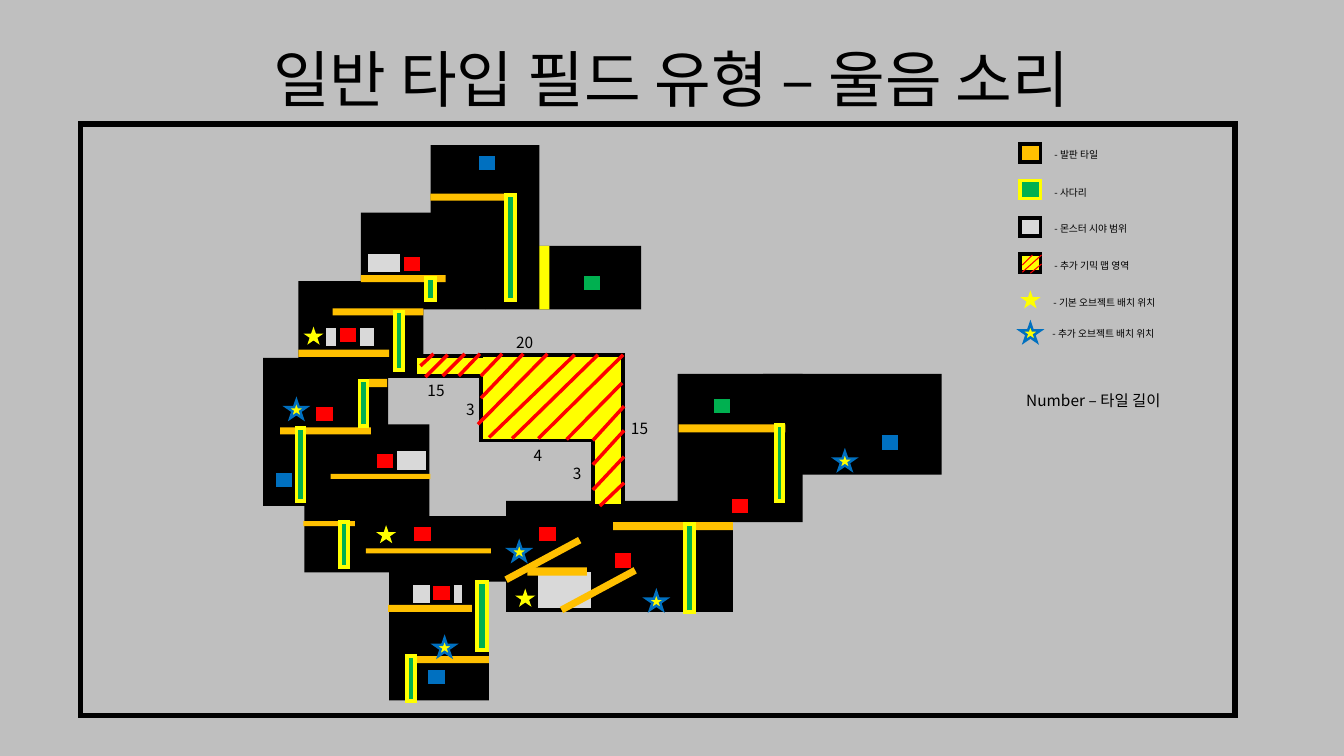
import dataclasses

import lxml.etree
import pptx
import pptx.dml.color
import pptx.enum.shapes
import pptx.enum.text
import pptx.oxml.ns
import pptx.util

SHAPES = pptx.enum.shapes.MSO_SHAPE
ALIGN = pptx.enum.text.PP_ALIGN
qn = pptx.oxml.ns.qn


@dataclasses.dataclass(frozen=True)
class Theme:
    font: str = "Noto Sans CJK KR"
    page: str = "BFBFBF"
    black: str = "000000"
    grey: str = "D9D9D9"
    orange: str = "FFC000"
    yellow: str = "FFFF00"
    green: str = "00B050"
    blue: str = "0070C0"
    red: str = "FF0000"
    title_size: float = 44
    number_size: float = 11
    legend_size: float = 7
    frame_line: float = 4
    tile_line: float = 2.75
    star_line: float = 1.75
    hatch_line: float = 2.5
    legend_hatch_line: float = 0.75


THEME = Theme()
GRID = 2.54  # centimetres in one unit of the map grid
MARKER = (0.2, 0.18)

# Rectangles are left, top, width, height in grid units, with an optional rotation.
ROOMS = [
    (4.27, 1.44, 1.08, 1.01), (3.58, 2.11, 1.24, 0.96), (4.82, 2.44, 1.54, 0.63),
    (2.96, 2.79, 1.24, 0.96), (2.61, 3.55, 1.24, 1.47), (3.86, 5.48, 0.99, 1.47),
    (5.02, 4.97, 2.25, 1.1), (6.72, 3.71, 1.24, 1.47), (7.57, 3.71, 1.77, 1),
    (3.02, 4.21, 1.24, 1.47), (4.11, 5.12, 1.24, 0.65),
]
SIGHT_RANGES = [
    (3.63, 2.5, 0.52, 0.22), (3.21, 3.23, 0.52, 0.22), (4.08, 5.78, 0.52, 0.22),
    (3.72, 4.46, 0.52, 0.22), (5.32, 5.66, 0.56, 0.39),
]
PLATFORMS = [
    (3.58, 2.73, 0.84, 0.07), (4.27, 1.92, 0.84, 0.07), (2.96, 3.47, 0.9, 0.07),
    (3.3, 3.06, 0.9, 0.07), (2.78, 4.24, 0.9, 0.07), (3.28, 4.7, 0.99, 0.05),
    (3.85, 6, 0.83, 0.07), (4.02, 6.51, 0.83, 0.07), (4.97, 5.52, 0.83, 0.07, 331.7),
    (5.52, 5.82, 0.83, 0.07, 331.7), (6.08, 5.18, 1.19, 0.08), (5.23, 5.63, 0.59, 0.08),
    (6.73, 4.21, 1.06, 0.08), (3.66, 3.76, 0.18, 0.08), (3.01, 5.17, 0.51, 0.05),
    (3.63, 5.44, 1.24, 0.05),
]
LADDERS = [
    (4.54, 2.41, 1.04, 0.09), (4.16, 2.82, 0.22, 0.09), (3.67, 3.34, 0.58, 0.08),
    (3.38, 3.96, 0.45, 0.08), (2.62, 4.57, 0.72, 0.08), (3.19, 5.36, 0.45, 0.08),
    (4.44, 6.06, 0.68, 0.1), (3.85, 6.69, 0.45, 0.08), (6.4, 5.59, 0.87, 0.09),
    (7.36, 4.56, 0.75, 0.07),
]
MARKERS = {
    THEME.blue: [(4.73, 1.53), (2.72, 4.67), (4.23, 6.63), (8.73, 4.3)],
    THEME.green: [(5.77, 2.72), (7.06, 3.94)],
    THEME.red: [(3.99, 2.53), (3.12, 4.02), (4.28, 5.79), (6.08, 5.47), (7.24, 4.93),
                (3.72, 4.48), (3.35, 3.23), (4.09, 5.21), (5.33, 5.21)],
}
BASIC_STARS = [(5.11, 5.84), (3.01, 3.24), (3.73, 5.21)]
EXTRA_STARS = [(4.31, 6.33), (6.41, 5.87), (8.28, 4.48), (2.84, 3.97), (5.05, 5.38)]
GIMMICK_AREA = [
    (4.77, 3.52), (6.18, 3.52), (6.18, 5.02), (5.88, 5.02), (5.88, 4.37),
    (4.77, 4.37), (4.77, 3.73), (4.12, 3.73), (4.12, 3.53), (4.77, 3.53),
]
HATCHES = [
    (6.18, 3.52, 5.34, 4.35), (5.93, 3.52, 5.08, 4.35), (5.7, 3.52, 4.85, 4.34),
    (5.43, 3.51, 4.74, 4.21), (5.19, 3.51, 4.77, 3.95), (4.98, 3.51, 4.77, 3.73),
    (4.76, 3.51, 4.55, 3.73), (4.61, 3.51, 4.39, 3.73), (4.44, 3.52, 4.22, 3.74),
    (6.17, 3.8, 5.62, 4.36), (6.19, 4.03, 5.88, 4.37), (6.19, 4.27, 5.88, 4.61),
    (6.19, 4.53, 5.88, 4.86), (6.19, 4.79, 5.95, 5.02), (4.3, 3.51, 4.17, 3.63),
]
LEGEND_HATCHES = [
    (10.24, 2.53, 10.14, 2.63), (10.33, 2.62, 10.22, 2.71), (10.33, 2.53, 10.14, 2.7),
]
TILE_COUNTS = [
    ("20", 5.02, 3.26, ALIGN.LEFT), ("15", 6.16, 4.11, ALIGN.LEFT),
    ("3", 5.54, 4.56, ALIGN.CENTER), ("4", 5.15, 4.38, ALIGN.CENTER),
    ("15", 4.14, 3.73, ALIGN.CENTER), ("3", 4.48, 3.92, ALIGN.CENTER),
]
# Icon top, label left, label top, label, preset, fill, outline, outline width
LEGEND = [
    (1.43, 10.36, 1.43, "- 발판 타일", SHAPES.RECTANGLE, THEME.orange, THEME.black, THEME.tile_line),
    (1.79, 10.36, 1.8, "- 사다리", SHAPES.RECTANGLE, THEME.green, THEME.yellow, THEME.tile_line),
    (2.16, 10.36, 2.16, "- 몬스터 시야 범위", SHAPES.RECTANGLE, THEME.grey, THEME.black, THEME.tile_line),
    (2.52, 10.36, 2.53, "- 추가 기믹 맵 영역", SHAPES.RECTANGLE, THEME.yellow, THEME.black, THEME.tile_line),
    (2.88, 10.35, 2.89, "- 기본 오브젝트 배치 위치", SHAPES.STAR_5_POINT, THEME.yellow, None, 0),
    (3.21, 10.34, 3.2, "- 추가 오브젝트 배치 위치", SHAPES.STAR_5_POINT, THEME.yellow, THEME.blue, THEME.star_line),
]


def grid(*values):
    return [pptx.util.Cm(value * GRID) for value in values]


def rgb(colour):
    return pptx.dml.color.RGBColor.from_string(colour)


def paint(shape, fill, outline=None, width=0):
    """Set fill and sharp-cornered outline; None leaves either one out."""
    shape.shadow.inherit = False
    if fill:
        shape.fill.solid()
        shape.fill.fore_color.rgb = rgb(fill)
    else:
        shape.fill.background()
    if outline:
        shape.line.color.rgb = rgb(outline)
        shape.line.width = pptx.util.Pt(width)
        line = shape._element.spPr.find(qn("a:ln"))
        lxml.etree.SubElement(line, qn("a:miter"), lim="800000")
    else:
        shape.line.fill.background()


def add_tile(shapes, place, fill, outline=None, width=THEME.tile_line, preset=SHAPES.RECTANGLE):
    left, top, wide, high, *rotation = place
    tile = shapes.add_shape(preset, *grid(left, top, wide, high))
    tile.rotation = rotation[0] if rotation else 0
    paint(tile, fill, outline, width)


def add_hatch(shapes, ends, width):
    hatch = shapes.add_connector(pptx.enum.shapes.MSO_CONNECTOR.STRAIGHT, *grid(*ends))
    hatch.line.color.rgb = rgb(THEME.red)
    hatch.line.width = pptx.util.Pt(width)
    lxml.etree.SubElement(hatch._element.spPr, qn("a:effectLst"))


def write(frame, text, size, align=ALIGN.LEFT):
    para = frame.paragraphs[0]
    para.text = text
    para.alignment = align
    para.font.size = pptx.util.Pt(size)
    para.font.name = THEME.font
    para.font.color.rgb = rgb(THEME.black)
    defaults = para._p.pPr.find(qn("a:defRPr"))
    lxml.etree.SubElement(defaults, qn("a:ea"), typeface=THEME.font)
    return para


def add_label(shapes, place, text, size, align=ALIGN.LEFT, wrap=True):
    box = shapes.add_textbox(*grid(*place))
    box.text_frame.word_wrap = wrap
    box.text_frame.auto_size = pptx.enum.text.MSO_AUTO_SIZE.SHAPE_TO_FIT_TEXT
    write(box.text_frame, text, size, align)


def set_title(page, text):
    title, subtitle = page.placeholders
    subtitle._element.getparent().remove(subtitle._element)
    title.left, title.top, title.width, title.height = grid(0.29, 0.2, 12.74, 1.24)
    title.text_frame.vertical_anchor = pptx.enum.text.MSO_ANCHOR.MIDDLE
    write(title.text_frame, text, THEME.title_size, ALIGN.CENTER).line_spacing = 0.9


def add_gimmick_area(shapes):
    corners = [grid(*corner) for corner in GIMMICK_AREA]
    builder = shapes.build_freeform(*corners[0])
    builder.add_line_segments(corners[1:], close=True)
    paint(builder.convert_to_shape(), THEME.yellow, THEME.black, THEME.tile_line)
    for ends in HATCHES:
        add_hatch(shapes, ends, THEME.hatch_line)
    for text, left, top, align in TILE_COUNTS:
        add_label(shapes, (left, top, 0.37, 0.29), text, THEME.number_size, align)


def add_legend(shapes):
    for top, label_left, label_top, text, preset, fill, outline, width in LEGEND:
        add_tile(shapes, (10.12, top, *MARKER), fill, outline, width, preset)
        add_label(shapes, (label_left, label_top, 1.61, 0.22), text, THEME.legend_size)
    for ends in LEGEND_HATCHES:
        add_hatch(shapes, ends, THEME.legend_hatch_line)
    add_label(shapes, (10.08, 3.83, 1.63, 0.29), "Number – 타일 길이", THEME.number_size, wrap=False)


def main():
    deck = pptx.Presentation()
    deck.slide_width, deck.slide_height = grid(13.33, 7.5)
    page = deck.slides.add_slide(deck.slide_layouts[0])
    page.background.fill.solid()
    page.background.fill.fore_color.rgb = rgb(THEME.page)
    set_title(page, "일반 타입 필드 유형 – 울음 소리")
    shapes = page.shapes
    rooms = shapes.add_group_shape().shapes
    for place in ROOMS:
        add_tile(rooms, place, THEME.black)
    for place in SIGHT_RANGES:
        add_tile(shapes, place, THEME.grey, THEME.black)
    add_tile(shapes, (0.8, 1.23, 11.45, 5.87), None, THEME.black, THEME.frame_line)
    add_legend(shapes)
    add_tile(shapes, (5.35, 2.44, 0.1, 0.63), THEME.yellow)
    for colour, corners in MARKERS.items():
        for corner in corners:
            add_tile(shapes, (*corner, *MARKER), colour, THEME.black)
    add_gimmick_area(shapes)
    for place in PLATFORMS:
        add_tile(shapes, place, THEME.orange)
    for place in LADDERS:
        add_tile(shapes, (*place, 90), THEME.green, THEME.yellow)
    for outline, corners in ((None, BASIC_STARS), (THEME.blue, EXTRA_STARS)):
        for corner in corners:
            add_tile(shapes, (*corner, *MARKER), THEME.yellow, outline, THEME.star_line, SHAPES.STAR_5_POINT)
    deck.save("out.pptx")


if __name__ == "__main__":
    main()
